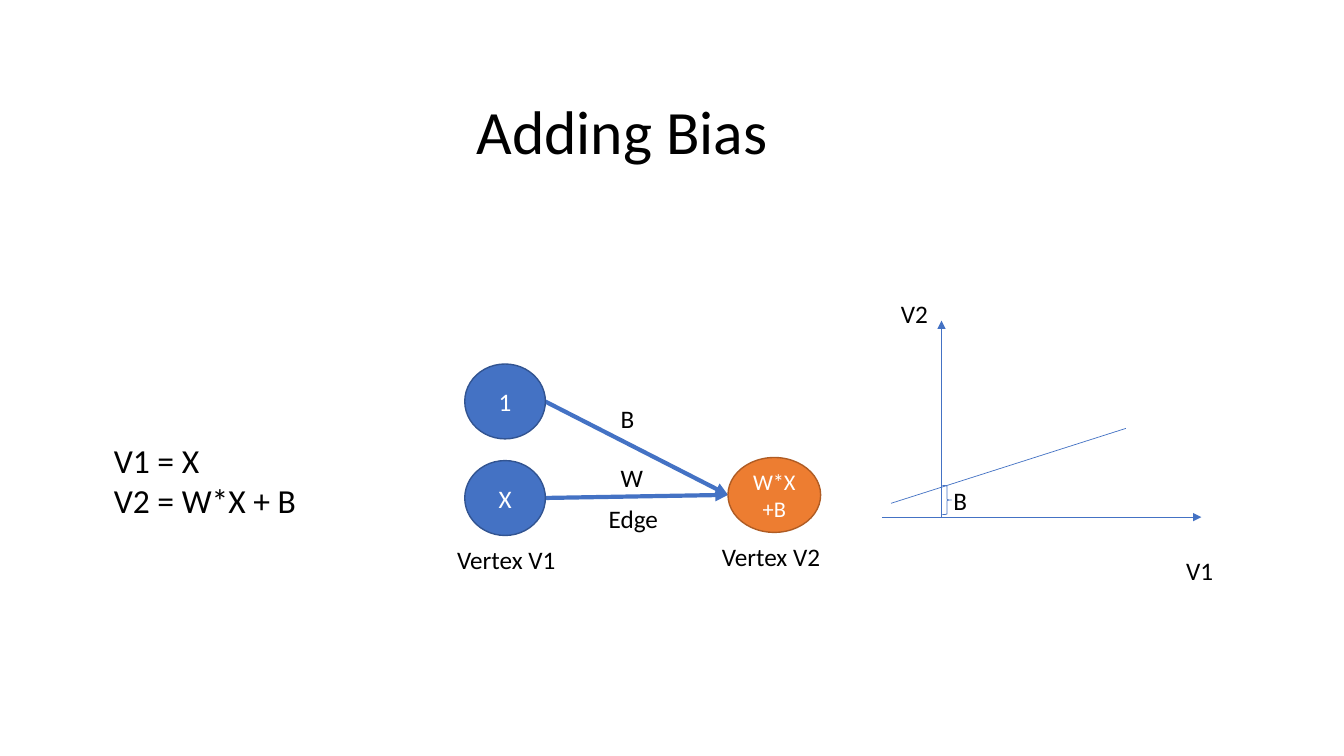
from lxml.etree import SubElement
from pptx import Presentation
from pptx.dml.color import RGBColor
from pptx.enum.shapes import MSO_CONNECTOR, MSO_SHAPE as Preset
from pptx.enum.text import MSO_ANCHOR as Anchor, MSO_AUTO_SIZE as AutoSize, PP_ALIGN as Align
from pptx.oxml.ns import qn
from pptx.util import Pt

BLUE, DARK_BLUE = "4472C4", "325491"
ORANGE, DARK_ORANGE = "ED7D31", "AF5C24"
BLACK, WHITE = "000000", "FFFFFF"


def rgb(hex_code):
    return RGBColor.from_string(hex_code)


def write(frame, text, size=18, color=BLACK, align=Align.LEFT, anchor=Anchor.TOP,
          spacing=None, auto_size=AutoSize.NONE, font="Calibri"):
    """Fill a text frame, one paragraph per line of text."""
    frame.text = text
    frame.word_wrap = True
    frame.auto_size = auto_size
    frame.vertical_anchor = anchor
    for paragraph in frame.paragraphs:
        paragraph.alignment = align
        paragraph.line_spacing = spacing
        paragraph.font.name = font
        paragraph.font.size = Pt(size)
        paragraph.font.color.rgb = rgb(color)


class Canvas:
    def __init__(self, deck):
        self.slide = deck.slides.add_slide(deck.slide_layouts[5])
        self.shapes = self.slide.shapes

    def title(self, text, left, top, width, height):
        title = self.shapes.title
        title.left, title.top, title.width, title.height = map(Pt, (left, top, width, height))
        write(title.text_frame, text, size=44, align=Align.CENTER, anchor=Anchor.MIDDLE, spacing=0.9)

    def label(self, text, left, top, width=36, height=29, **style):
        box = self.shapes.add_textbox(*map(Pt, (left, top, width, height)))
        write(box.text_frame, text, auto_size=AutoSize.SHAPE_TO_FIT_TEXT, **style)

    def preset(self, kind, left, top, width, height, line, weight, fill=None):
        shape = self.shapes.add_shape(kind, *map(Pt, (left, top, width, height)))
        shape.shadow.inherit = False
        shape.line.color.rgb = rgb(line)
        shape.line.width = Pt(weight)
        if fill:
            shape.fill.solid()
            shape.fill.fore_color.rgb = rgb(fill)
        else:
            shape.fill.background()
        return shape

    def vertex(self, text, left, top, width=57.6, fill=BLUE, line=DARK_BLUE, size=18):
        circle = self.preset(Preset.OVAL, left, top, width, 53.5, line, 1, fill)
        write(circle.text_frame, text, size=size, color=WHITE, align=Align.CENTER, anchor=Anchor.MIDDLE)

    def line(self, start, end, weight=0.5, arrow=True):
        line = self.shapes.add_connector(MSO_CONNECTOR.STRAIGHT, *map(Pt, start + end))
        line.line.color.rgb = rgb(BLUE)
        line.line.width = Pt(weight)
        if arrow:
            SubElement(line.line._get_or_add_ln(), qn("a:tailEnd"), type="triangle")
        SubElement(line._element.spPr, qn("a:effectLst"))


def draw_network(canvas):
    output = (520, 353.5)
    canvas.line((389.5, 355.7), output, weight=3)
    canvas.line((389.5, 286.8), output, weight=3)
    canvas.vertex("1", 332, 260)
    canvas.vertex("X", 332, 329)
    canvas.vertex("W*X+B", 520, 326.8, width=66.2, fill=ORANGE, line=DARK_ORANGE, size=16)
    canvas.label("Vertex V1", 319.5, 385.2, 94.5)
    canvas.label("Vertex V2", 508.5, 383.3, 94.5)
    canvas.label("B", 436.3, 284.4, 16.6)
    canvas.label("W", 436.3, 326.9, 16.6)
    canvas.label("Edge", 427.7, 355.7, 57.6)


def draw_graph(canvas):
    axis_y, axis_x = 369.4, 672.5
    canvas.line((630, axis_y), (858.2, axis_y))
    canvas.line((axis_x, axis_y), (axis_x, 229))
    canvas.line((804.2, 306), (636.5, 359.5), arrow=False)
    canvas.preset(Preset.RIGHT_BRACE, 673.2, 346.7, 6.5, 20.9, BLUE, 0.5)
    canvas.label("V1", 840.2, 393.4)
    canvas.label("V2", 636.5, 209.5)
    canvas.label("B", 673.9, 343)


def main():
    deck = Presentation()
    deck.slide_width, deck.slide_height = Pt(960), Pt(540)
    canvas = Canvas(deck)
    canvas.title("Adding Bias", 275, 44, 339, 104.4)
    canvas.label("V1 = X\nV2 = W*X + B", 74.2, 310.3, 172.8, 65.5, size=24)
    draw_network(canvas)
    draw_graph(canvas)
    deck.save("out.pptx")


if __name__ == "__main__":
    main()
